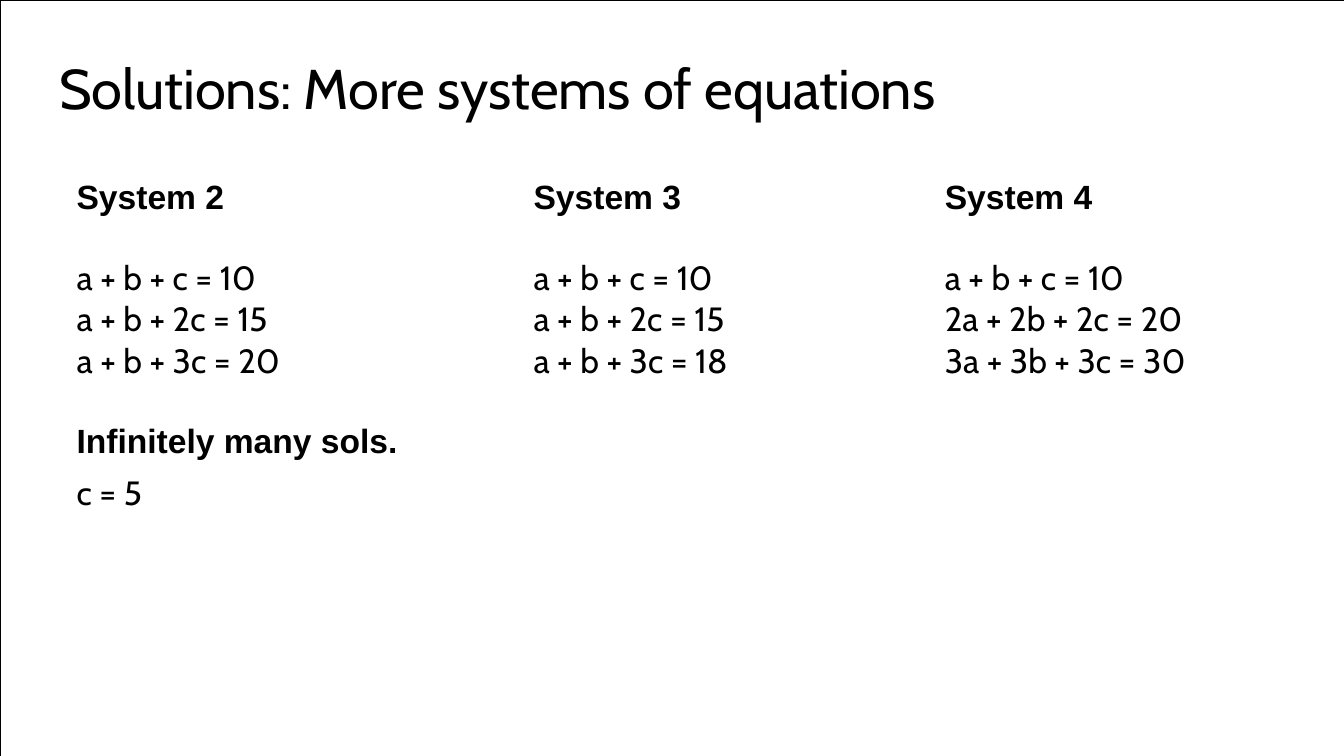
from pptx import Presentation
from pptx.dml.color import RGBColor
from pptx.enum.shapes import MSO_SHAPE as Shape
from pptx.enum.text import MSO_ANCHOR as Anchor, PP_ALIGN as Align
from pptx.util import Inches, Pt

HEADING, BODY = "Arial", "Cabin"
COLUMN_WIDTHS = (2.93, 2.87, 2.68)
COLUMN_INDENTS = (0.03, 0.5, 0.69)
ROWS = (
    (("System 2", "System 3", "System 4"), 0.43, 0, 17.4, True),
    (("a + b + c = 10",) * 3, 0.46, 0.12, None, False),
    (("a + b + 2c = 15", "a + b + 2c = 15", "2a + 2b + 2c = 20"), 0.31, 0, 19.4, False),
    (("a + b + 3c = 20", "a + b + 3c = 18", "3a + 3b + 3c = 30"), 0.46, 0, 19.4, False),
    (("Infinitely many sols.", "", ""), 0.49, 0.12, None, True),
    (("c = 5", "", ""), 0.32, 0.01, 21.1, False),
)


def color(hex_code):
    """Turn a hex string into a colour."""
    return RGBColor.from_string(hex_code)


def write(frame, text, size=18, font=BODY, bold=False, spacing=None, indent=0, tracking=0):
    """Fill a text frame with one formatted paragraph."""
    paragraph = frame.paragraphs[0]
    paragraph.alignment = Align.LEFT
    if spacing:
        paragraph.line_spacing = Pt(spacing)
    properties = paragraph._p.get_or_add_pPr()
    properties.set("marL", str(Inches(indent)))
    properties.set("indent", "0")
    run = paragraph.add_run()
    run.text = text
    run.font.size = Pt(size)
    run.font.name = font
    run.font.bold = bold
    run.font.color.rgb = color("000000")
    if tracking:
        run._r.get_or_add_rPr().set("spc", str(round(tracking * 100)))


def add_border(slide, left, top, width, height):
    """Outline the slide behind everything else."""
    border = slide.shapes.add_shape(
        Shape.RECTANGLE, Inches(left), Inches(top), Inches(width), Inches(height))
    border.shadow.inherit = False
    border.fill.background()
    border.line.color.rgb = color("000000")
    border.line.width = Pt(0.25)
    slide.shapes._spTree.insert(2, border._element)


def place_title(slide, left, top, width, height):
    """Move and format the title placeholder."""
    title = slide.shapes.title
    title.left, title.top = Inches(left), Inches(top)
    title.width, title.height = Inches(width), Inches(height)
    frame = title.text_frame
    frame.margin_left = frame.margin_right = frame.margin_bottom = 0
    frame.margin_top = Inches(0.01)
    frame.vertical_anchor = Anchor.TOP
    frame.word_wrap = True
    write(frame, "Solutions: More systems of equations",
          size=30, indent=0.01, tracking=-0.05)


def add_systems(slide, left, top, width, height):
    """Add the table that sets the systems side by side."""
    table = slide.shapes.add_table(
        len(ROWS), len(COLUMN_WIDTHS), Inches(left), Inches(top),
        Inches(width), Inches(height)).table
    table.first_row = table.horz_banding = False
    for column, column_width in zip(table.columns, COLUMN_WIDTHS):
        column.width = Inches(column_width)
    for row, (texts, row_height, margin, spacing, bold) in zip(table.rows, ROWS):
        row.height = Inches(row_height)
        for cell, text, indent in zip(row.cells, texts, COLUMN_INDENTS):
            cell.fill.background()
            cell.margin_left = cell.margin_right = cell.margin_bottom = 0
            cell.margin_top = Inches(margin)
            if text:
                write(cell.text_frame, text, font=HEADING if bold else BODY,
                      bold=bold, spacing=spacing, indent=indent)


def main():
    """Build and save the slide."""
    deck = Presentation()
    deck.slide_width = Inches(10)
    deck.slide_height = deck.slide_width * 9 // 16
    slide = deck.slides.add_slide(deck.slide_layouts[5])
    add_border(slide, 0, 0, 10, 5.63)
    place_title(slide, 0.43, 0.39, 6.95, 0.53)
    add_systems(slide, 0.54, 1.37, sum(COLUMN_WIDTHS), 2.47)
    deck.save("out.pptx")


if __name__ == "__main__":
    main()
